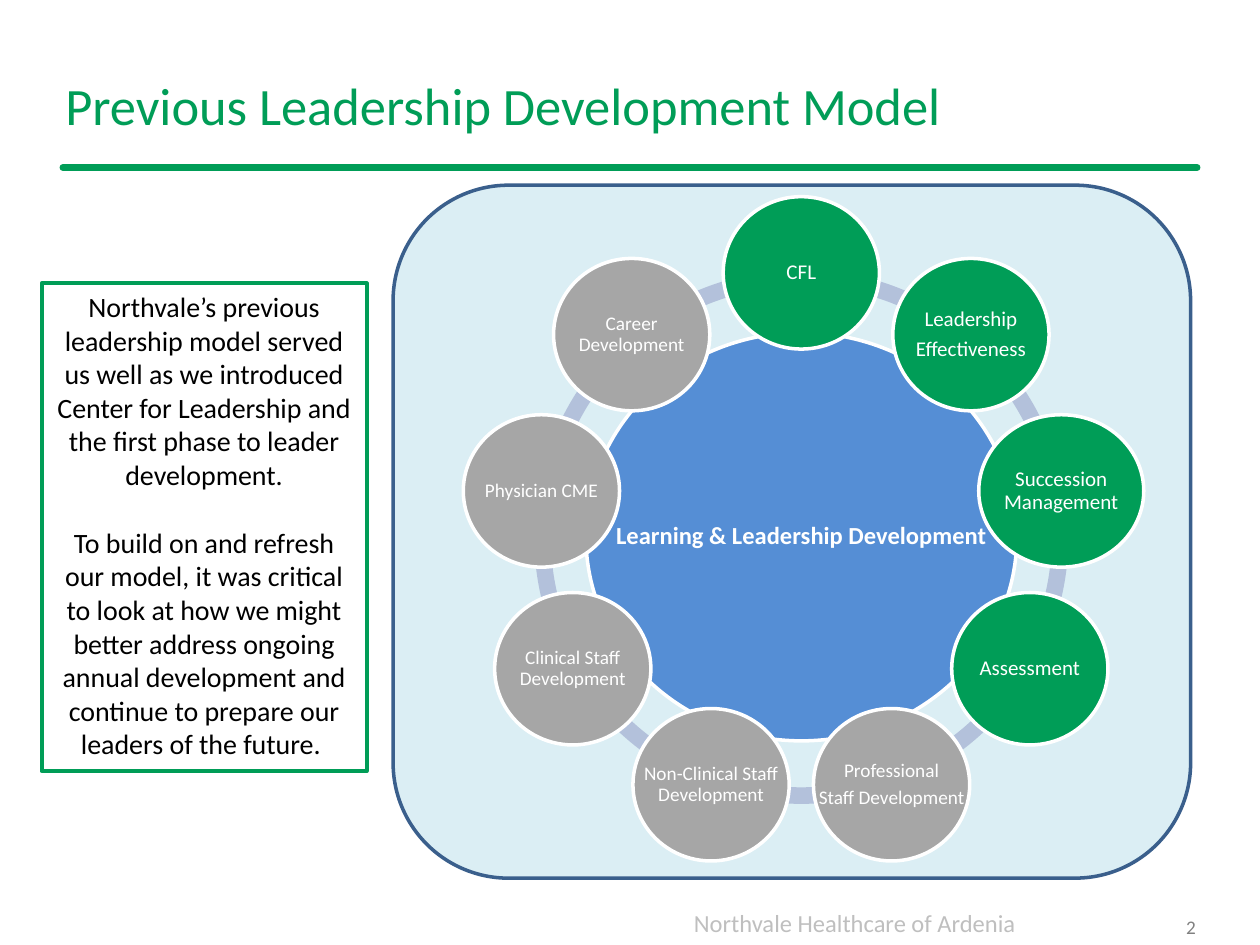
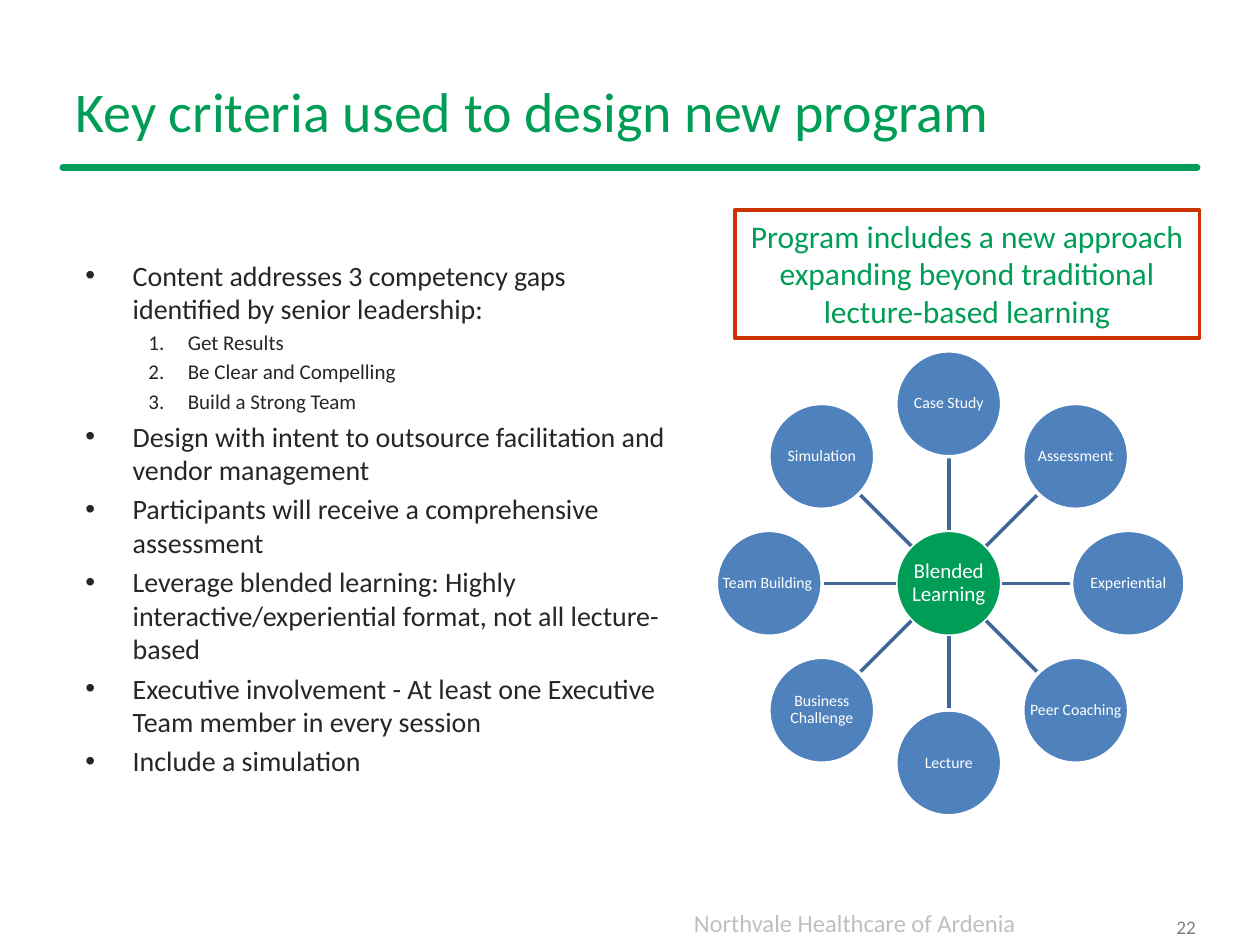
"""Build two slides on a leadership development model."""
from math import cos, radians, sin

from lxml.etree import SubElement as Sub
from pptx import Presentation
from pptx.dml.color import RGBColor as Rgb
from pptx.enum.shapes import MSO_CONNECTOR as Link, MSO_SHAPE as Form
from pptx.enum.text import MSO_ANCHOR as Anchor, PP_ALIGN as Align
from pptx.oxml.ns import qn
from pptx.util import Pt

HUES = {
    "green": "009D57", "gray": "A6A6A6", "pale": "DBEEF4", "navy": "3A5F8C",
    "ring": "B3C1DB", "core": "558ED5", "blue": "4F81BD", "spoke": "3F6797",
    "red": "CC3300", "white": "FFFFFF", "black": "000000", "ink": "262626",
    "foot": "BFBFBF", "page": "808080",
}
FONT = "Calibri"
SIDES = ("margin_left", "margin_right", "margin_top", "margin_bottom")
MID = {"vertical_anchor": Anchor.MIDDLE}
CENTER = {"alignment": Align.CENTER}
RIGHT = {"alignment": Align.RIGHT}


def hue(name):
    """Return the colour of that name."""
    return Rgb.from_string(HUES[name])


def apply(item, values):
    """Set each value of a dict on an item."""
    for key, value in values.items():
        setattr(item, key, value)


def about(mid, wide, high):
    """Return the box of a given size around a point."""
    return mid[0] - wide / 2, mid[1] - high / 2, wide, high


def polar(mid, reach, turn):
    """Return the point at a clockwise turn from the top."""
    angle = radians(turn)
    return mid[0] + reach * sin(angle), mid[1] - reach * cos(angle)


class Deck:
    """Hold the style and the current slide."""

    def __init__(self):
        """Start an empty deck."""
        self.show = Presentation()
        apply(self.show, {"slide_width": Pt(720), "slide_height": Pt(540)})

    def page(self, title, box, size, number):
        """Add a slide with title, rule, footer and number."""
        self.slide = self.show.slides.add_slide(self.show.slide_layouts[6])
        self.line((36, 95.76), (684, 95.76), "green", 4, "rnd")
        self.text(box, [title], size, "green", frame=MID)
        self.text((77.76, 515.5, 509.76, 24.5), ["Northvale Healthcare of Ardenia"],
                  14, "foot", para=RIGHT)
        self.text((660.24, 515.5, 30.24, 28.8), [number], 11, "page", frame=MID, para=RIGHT)

    def line(self, start, end, color, width, cap="flat"):
        """Add a straight line."""
        link = self.slide.shapes.add_connector(
            Link.STRAIGHT, *(Pt(v) for v in (*start, *end)))
        apply(link.line, {"width": Pt(width)})
        link.line.color.rgb = hue(color)
        link.line._get_or_add_ln().set("cap", cap)
        Sub(link._element.spPr, qn("a:effectLst"))

    def shape(self, form, box, fill=None, edge=None, width=2):
        """Add a preset shape."""
        item = self.slide.shapes.add_shape(form, *(Pt(v) for v in box))
        item.shadow.inherit = False
        if fill:
            item.fill.solid()
            item.fill.fore_color.rgb = hue(fill)
        else:
            item.fill.background()
        if edge:
            item.line.color.rgb = hue(edge)
            item.line.width = Pt(width)
        else:
            item.line.fill.background()
        return item

    def text(self, box, rows, size, color, frame={}, para={}, font={}, host=None):
        """Write rows in a new text box or in a host shape."""
        host = host or self.slide.shapes.add_textbox(*(Pt(v) for v in box))
        body = host.text_frame
        apply(body, {"word_wrap": True, "vertical_anchor": Anchor.TOP, **frame})
        for spot, row in enumerate(rows):
            part = body.add_paragraph() if spot else body.paragraphs[0]
            apply(part, para)
            run = part.add_run()
            run.text = row
            apply(run.font, {"name": FONT, "size": Pt(size), **font})
            run.font.color.rgb = hue(color)
        return body.paragraphs

    def panel(self, box, rows, size, color, edge):
        """Add a framed box of centred text."""
        host = self.shape(Form.RECTANGLE, box, edge=edge, width=2.25)
        return self.text(box, rows, size, color, para=CENTER, host=host)

    def node(self, box, rows, fill, size, inset, bold=False):
        """Add an ellipse with a label over its full width."""
        self.shape(Form.OVAL, box, fill, "white")
        para = {**CENTER, "line_spacing": 0.9, "space_after": Pt(0.35 * size)}
        frame = {**MID, **dict.fromkeys(SIDES, Pt(inset))}
        self.text(box, rows, size, "white", frame, para, {"bold": bold})

    def bullets(self, box, items):
        """Add a list of dots with numbered points below them."""
        parts = self.text(box, [row for _, row in items], 16, "ink")
        for part, (level, _) in zip(parts, items):
            size, left, hang = ((16, 27, 27), (12, 58.5, 22.5))[level]
            part.runs[0].font.size = Pt(size)
            apply(part, {"level": level, "space_before": Pt(0.2 * size)})
            props = part._p.get_or_add_pPr()
            props.set("marL", str(Pt(left)))
            props.set("indent", str(-Pt(hang)))
            if level:
                Sub(props, qn("a:buAutoNum"), type="arabicPeriod")
            else:
                Sub(props, qn("a:buFont"), typeface="Arial")
                Sub(props, qn("a:buChar"), char="•")


def model(deck):
    """Draw the previous model as a ring of nodes."""
    deck.page("Previous Leadership Development Model", (30.24, 23.76, 540, 72), 30, "2")
    deck.shape(Form.ROUNDED_RECTANGLE, (224.64, 105.84, 455.76, 396), "pale", "navy")
    mid = (457.92, 306.72)
    ring = deck.shape(Form.DONUT, about(mid, 305.28, 305.28), "ring")
    ring.adjustments[0] = 0.031
    deck.node(about(mid, 246.24, 233.28), ["Learning & Leadership Development"],
              "core", 14, 1.5, True)
    nodes = (
        ["CFL"], ["Leadership", "Effectiveness"], ["Succession Management"],
        ["Assessment"], ["Professional", "Staff Development"],
        ["Non-Clinical Staff Development"], ["Clinical Staff Development"],
        ["Physician CME"], ["Career Development"],
    )
    for spot, rows in enumerate(nodes):
        fill, size = ("green", 12) if spot < 4 else ("gray", 11)
        wide = 94.3 if spot == 2 else 89.3
        spot_mid = polar(mid, 150.8, spot * 360 / len(nodes))
        deck.node(about(spot_mid, wide, 87.1), rows, fill, size, 1.5)
    parts = deck.panel((23.76, 162, 185.76, 278.64), [
        "Northvale’s previous leadership model served us well as we introduced "
        "Center for Leadership and the first phase to leader development.",
        "To build on and refresh our model, it was critical to look at how we might "
        "better address ongoing annual development and continue to prepare our "
        "leaders of the future. ",
    ], 16, "black", "green")
    parts[1].space_before = Pt(19.5)


def program(deck):
    """Draw the criteria and the blended learning wheel."""
    deck.page("Key criteria used to design new program", (36, 23.76, 648, 77.76), 32, "22")
    mid = (542.16, 333.36)
    deck.node(about(mid, 60.5, 60.5), ["Blended Learning"], "green", 12, 0.75)
    nodes = ("Case Study", "Assessment", "Experiential", "Peer Coaching",
             "Lecture", "Business Challenge", "Team Building ", "Simulation")
    for spot, row in enumerate(nodes):
        turn = spot * 360 / len(nodes)
        wide = 64.8 if row == "Experiential" else 60.5
        deck.line(polar(mid, 30.25, turn), polar(mid, 102.6 - wide / 2, turn), "spoke", 2)
        deck.node(about(polar(mid, 102.6, turn), wide, 60.5), [row], "blue", 9, 0.75)
    deck.bullets((41.76, 144, 347.76, 318.24), (
        (0, "Content addresses 3 competency gaps identified by senior leadership:"),
        (1, "Get Results"),
        (1, "Be Clear and Compelling"),
        (1, "Build a Strong Team"),
        (0, "Design with intent to outsource facilitation and vendor management"),
        (0, "Participants will receive a comprehensive assessment"),
        (0, "Leverage blended learning: Highly interactive/experiential format, "
            "not all lecture-based"),
        (0, "Executive involvement - At least one Executive Team member in every session"),
        (0, "Include a simulation"),
    ))
    deck.panel((419.76, 120.24, 265.68, 72.72), [
        "Program includes a new approach", "expanding beyond traditional",
        "lecture-based learning",
    ], 18, "green", "red")


def main():
    """Build and save the deck."""
    deck = Deck()
    model(deck)
    program(deck)
    deck.show.save("out.pptx")


if __name__ == "__main__":
    main()
